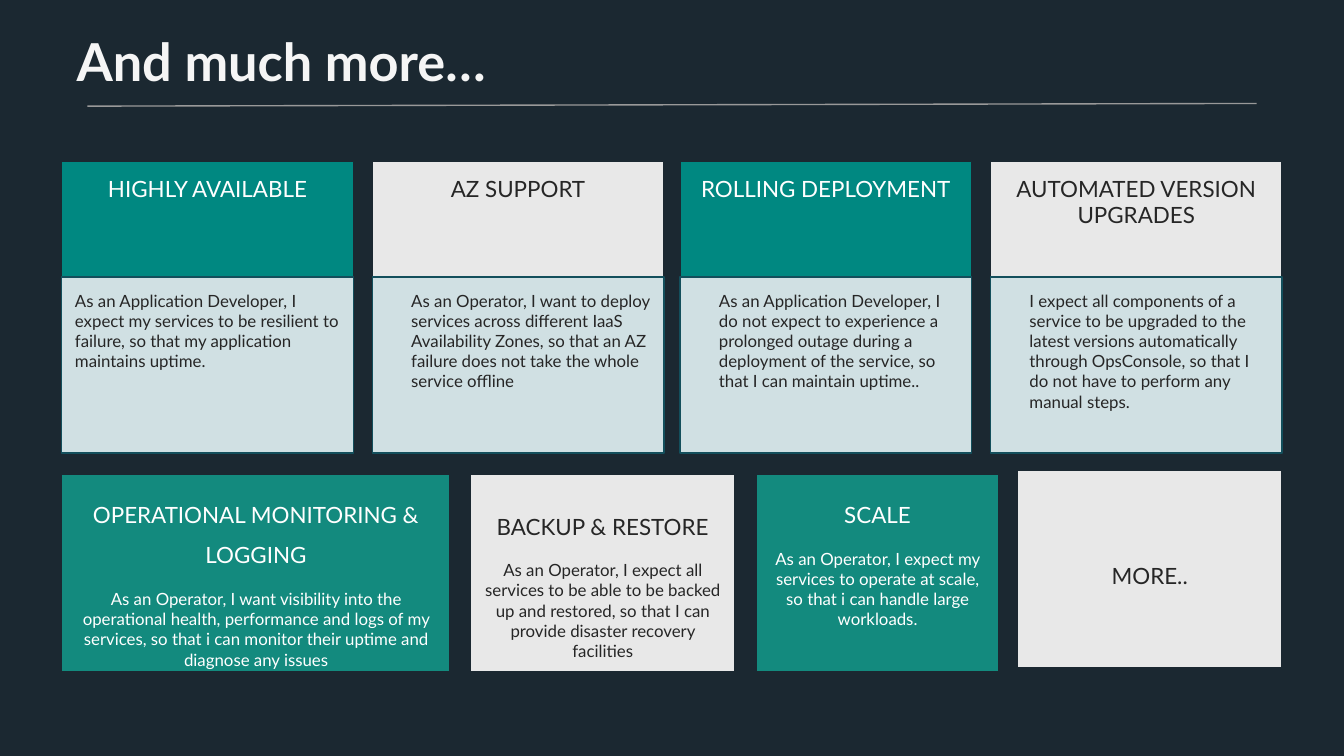
import dataclasses

import pptx
import pptx.dml.color
import pptx.enum.shapes
import pptx.enum.text
import pptx.oxml.ns
import pptx.util
from lxml import etree

Pt = pptx.util.Pt
ALIGN = pptx.enum.text.PP_ALIGN
ANCHOR = pptx.enum.text.MSO_ANCHOR


@dataclasses.dataclass(frozen=True)
class Theme:
    """Colours, font and type sizes of the slide."""
    font: str = "Lato"
    title_size: int = 28
    heading_size: int = 12
    body_size: int = 9
    night: str = "1B2831"
    teal: str = "008881"
    green: str = "138A7E"
    gray: str = "E8E8E8"
    mist: str = "D0E0E3"
    edge: str = "134F5C"
    rule: str = "999999"
    title: str = "F5F5F5"
    white: str = "FFFFFF"
    ink: str = "262626"


THEME = Theme()
INSET = 7.2
INDENT = 13.68

FEATURE_WIDTH, FEATURE_TOP = 156.24, 86.4
HEADER_HEIGHT, STORY_HEIGHT = 61.92, 94.32
FEATURES = [
    (33.12, THEME.teal, 0, "HIGHLY AVAILABLE",
     "As an Application Developer, I expect my services to be resilient to failure, "
     "so that my application maintains uptime."),
    (199.44, THEME.gray, INDENT, "AZ SUPPORT",
     "As an Operator, I want to deploy services across different IaaS Availability Zones, "
     "so that an AZ failure does not take the whole service offline"),
    (364.32, THEME.teal, INDENT, "ROLLING DEPLOYMENT",
     "As an Application Developer, I do not expect to experience a prolonged outage during "
     "a deployment of the service, so that I can maintain uptime.."),
    (530.64, THEME.gray, INDENT, "AUTOMATED VERSION UPGRADES",
     "I expect all components of a service to be upgraded to the latest versions automatically "
     "through OpsConsole, so that I do not have to perform any manual steps."),
]

TILE_HEIGHT = 105.84
TILES = [
    ((33.12, 254.16, 208.08), THEME.green, INSET, "OPERATIONAL MONITORING & LOGGING",
     "As an Operator, I want visibility into the operational health, performance and logs of "
     "my services, so that i can monitor their uptime and diagnose any issues"),
    ((252, 254.16, 141.84), THEME.gray, 13.4, "BACKUP & RESTORE",
     "As an Operator, I expect all services to be able to be backed up and restored, "
     "so that I can provide disaster recovery facilities"),
    ((405.36, 254.16, 129.6), THEME.green, INSET, "SCALE",
     "As an Operator, I expect my services to operate at scale, "
     "so that i can handle large workloads."),
    ((545.04, 252, 141.84), THEME.gray, 42, "MORE..", None),
]


def color(value):
    """Turn a hex string into a colour."""
    return pptx.dml.color.RGBColor.from_string(value)


def style(para, size, ink, align, bold=False):
    """Format a paragraph and its runs."""
    para.alignment = align
    for span in para.runs:
        span.font.name = THEME.font
        span.font.size = Pt(size)
        span.font.bold = bold
        span.font.color.rgb = color(ink)


def ink_on(fill):
    """Pick the text colour that reads on a fill."""
    return THEME.white if fill in (THEME.teal, THEME.green) else THEME.ink


def add_panel(page, box, fill, line, top=INSET, indent=0):
    """Add an outlined rectangle and return its text frame."""
    panel = page.shapes.add_shape(
        pptx.enum.shapes.MSO_SHAPE.RECTANGLE, *(Pt(length) for length in box))
    panel.shadow.inherit = False
    panel.fill.solid()
    panel.fill.fore_color.rgb = color(fill)
    panel.line.color.rgb = color(line)
    panel.line.width = Pt(0.75)
    frame = panel.text_frame
    frame.word_wrap = True
    frame.vertical_anchor = ANCHOR.TOP
    frame.margin_left = Pt(INSET + indent)
    frame.margin_right = frame.margin_bottom = Pt(INSET)
    frame.margin_top = Pt(top)
    return frame


def add_title(page, box, text):
    """Place the title and the rule under it."""
    title = page.shapes.title
    title.left, title.top, title.width, title.height = (Pt(length) for length in box)
    title.text_frame.text = text
    title.text_frame.vertical_anchor = ANCHOR.MIDDLE
    style(title.text_frame.paragraphs[0], THEME.title_size, THEME.title, ALIGN.LEFT, True)
    rule = page.shapes.add_connector(
        pptx.enum.shapes.MSO_CONNECTOR.STRAIGHT, Pt(46.8), Pt(56.88), Pt(673.2), Pt(55.44))
    rule.line.color.rgb = color(THEME.rule)
    rule.line.width = Pt(0.75)
    etree.SubElement(rule._element.spPr, pptx.oxml.ns.qn("a:effectLst"))


def add_feature(page, box, fill, indent, heading, story):
    """Place a feature card: a header panel above a story panel."""
    left, top, width, height = box
    header = add_panel(page, (left, top, width, HEADER_HEIGHT), fill, THEME.night)
    header.text = heading
    style(header.paragraphs[0], THEME.heading_size, ink_on(fill), ALIGN.CENTER)
    body_box = (left, top + HEADER_HEIGHT, width, height - HEADER_HEIGHT)
    body = add_panel(page, body_box, THEME.mist, THEME.edge, indent=indent)
    body.text = story
    style(body.paragraphs[0], THEME.body_size, THEME.ink, ALIGN.LEFT)


def add_tile(page, box, fill, top, heading, story):
    """Place a tile with a heading and an optional story."""
    frame = add_panel(page, box, fill, THEME.night, top)
    frame.text = heading
    style(frame.paragraphs[0], THEME.heading_size, ink_on(fill), ALIGN.CENTER)
    frame.paragraphs[0].line_spacing = 1.5
    if story:
        para = frame.add_paragraph()
        para.text = story
        para.space_before = Pt(10.8)
        style(para, THEME.body_size, ink_on(fill), ALIGN.CENTER)


def main():
    """Build the slide and save the deck."""
    deck = pptx.Presentation()
    deck.slide_width, deck.slide_height = Pt(720), Pt(405)
    page = deck.slides.add_slide(deck.slide_layouts.get_by_name("Title Only"))
    page.background.fill.solid()
    page.background.fill.fore_color.rgb = color(THEME.night)
    add_title(page, (33.84, 9.36, 619.92, 46.08), "And much more…")
    for left, *content in FEATURES:
        box = (left, FEATURE_TOP, FEATURE_WIDTH, HEADER_HEIGHT + STORY_HEIGHT)
        add_feature(page, box, *content)
    for place, *content in TILES:
        add_tile(page, (*place, TILE_HEIGHT), *content)
    deck.save("out.pptx")


if __name__ == "__main__":
    main()
